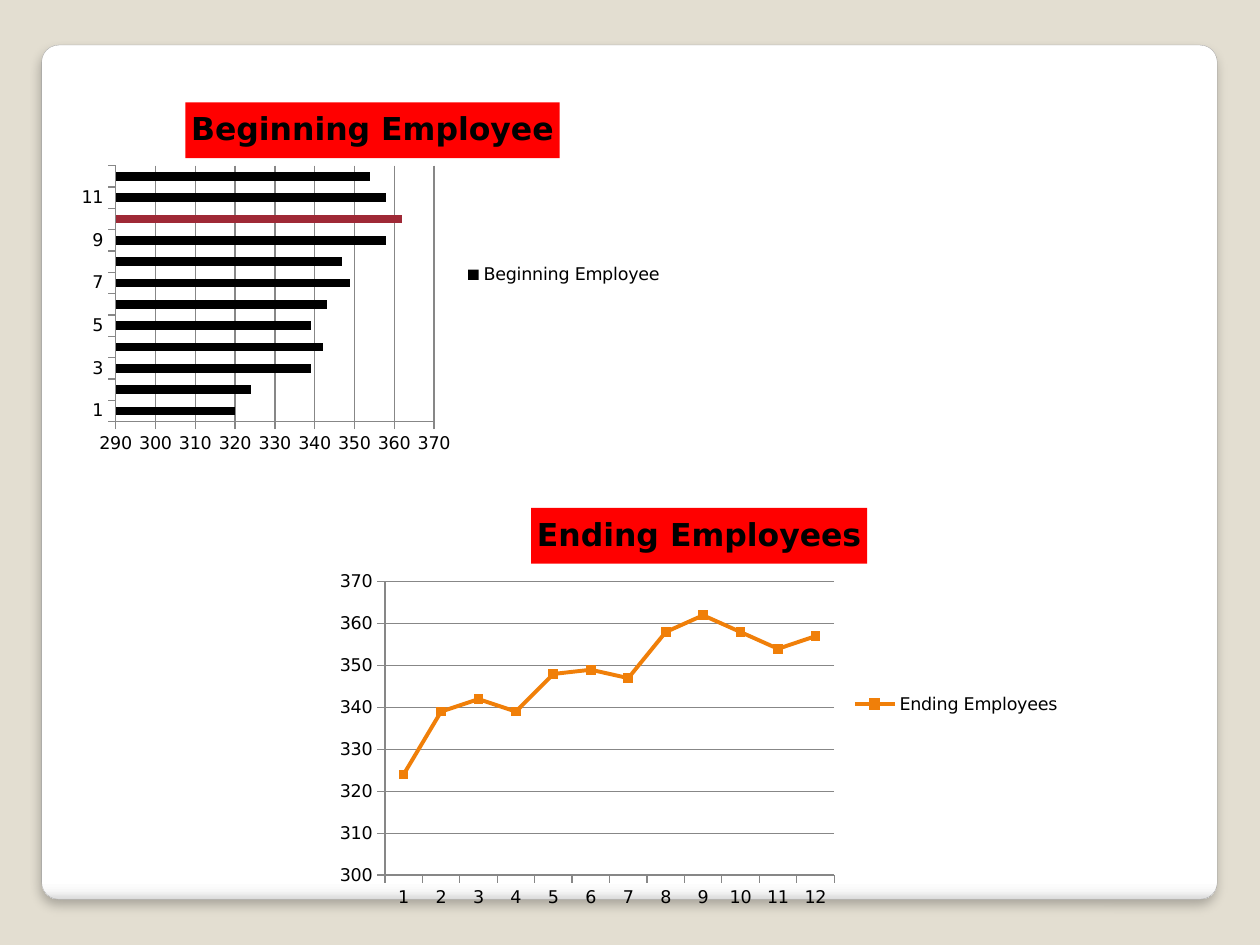
from lxml import etree
from pptx import Presentation
from pptx.chart.data import CategoryChartData
from pptx.dml.color import RGBColor
from pptx.enum.chart import XL_CHART_TYPE, XL_LEGEND_POSITION, XL_MARKER_STYLE, XL_TICK_MARK
from pptx.enum.shapes import MSO_SHAPE
from pptx.oxml import parse_xml
from pptx.oxml.ns import nsdecls, qn
from pptx.util import Cm, Pt

BAR = XL_CHART_TYPE.BAR_CLUSTERED
LINE = XL_CHART_TYPE.LINE_MARKERS
LEGEND_RIGHT = XL_LEGEND_POSITION.RIGHT
SQUARE = XL_MARKER_STYLE.SQUARE
TICK_OUT = XL_TICK_MARK.OUTSIDE
ROUNDED = MSO_SHAPE.ROUNDED_RECTANGLE

FONT = "DejaVu Sans"
COLORS = {
    "background": "E3DED1",
    "panel_line": "A4A4A4",
    "text": "000000",
    "title_fill": "FF0000",
    "grid": "878787",
    "bar": "000000",
    "highlight": "9F2936",
    "line": "F07F09",
}
PANEL_STOPS = [(0, "FFFFFF"), (98, "FFFFFF"), (99, "F7F7F7"), (100, "DADADA")]


def color(name):
    return RGBColor.from_string(COLORS[name])


def add_employee_chart(page, kind, name, values, low, place):
    data = CategoryChartData()
    data.categories = [str(month) for month in range(1, len(values) + 1)]
    data.add_series(name, values)
    chart = page.shapes.add_chart(kind, *[Cm(length) for length in place], data).chart
    chart.font.name = FONT
    chart.font.size = Pt(10)
    chart.font.color.rgb = color("text")

    # Title on a red field
    chart.has_title = True
    title = chart.chart_title
    title.include_in_layout = False
    title.format.fill.solid()
    title.format.fill.fore_color.rgb = color("title_fill")
    para = title.text_frame.paragraphs[0]
    para.text = name
    para.font.name = FONT
    para.font.size = Pt(18)
    para.font.bold = True
    para.font.color.rgb = color("text")

    # Legend and axes
    chart.has_legend = True
    chart.legend.position = LEGEND_RIGHT
    chart.legend.include_in_layout = False
    scale = chart.value_axis
    scale.minimum_scale, scale.maximum_scale, scale.major_unit = low, 370, 10
    scale.has_major_gridlines = True
    chart.category_axis.has_major_gridlines = False
    for axis in (scale, chart.category_axis):
        axis.major_tick_mark = TICK_OUT
        axis.format.line.color.rgb = color("grid")
        axis.format.line.width = Pt(0.75)
    scale.major_gridlines.format.line.color.rgb = color("grid")
    scale.major_gridlines.format.line.width = Pt(0.75)
    chart.plots[0].vary_by_categories = False
    return chart


deck = Presentation()
deck.slide_width = Cm(25.4)
deck.slide_height = Cm(19.05)
page = deck.slides.add_slide(deck.slide_layouts[6])
page.background.fill.solid()
page.background.fill.fore_color.rgb = color("background")

# White panel with a shaded lower edge and a soft shadow
panel = page.shapes.add_shape(ROUNDED, Cm(0.84), Cm(0.91), Cm(23.7), Cm(17.22))
panel.adjustments[0] = 0.02
panel.line.color.rgb = color("panel_line")
panel.line.width = Pt(0.16)
panel.shadow.inherit = False
panel.fill.gradient()
panel.fill.gradient_angle = 270
stops = panel.element.spPr.find(qn("a:gradFill")).find(qn("a:gsLst"))
for stop in list(stops):
    stops.remove(stop)
for percent, shade in PANEL_STOPS:
    stop = etree.SubElement(stops, qn("a:gs"), pos=str(percent * 1000))
    etree.SubElement(stop, qn("a:srgbClr"), val=shade)
panel.element.spPr.find(qn("a:effectLst")).append(parse_xml(
    f'<a:outerShdw {nsdecls("a")} blurRad="{Pt(6)}" dist="{Pt(4)}" dir="5400000" '
    'algn="t" rotWithShape="0"><a:srgbClr val="000000"><a:alpha val="25000"/>'
    '</a:srgbClr></a:outerShdw>'))

# Beginning employees: bars, tenth month highlighted
beginning = [320, 324, 339, 342, 339, 343, 349, 347, 358, 362, 358, 354]
chart = add_employee_chart(page, BAR, "Beginning Employee", beginning, 290,
                           (1.4, 1.78, 12.22, 7.52))
chart.plots[0].gap_width = 150
bars = chart.plots[0].series[0]
for part, name in ((bars, "bar"), (bars.points[9], "highlight")):
    part.format.fill.solid()
    part.format.fill.fore_color.rgb = color(name)

# Ending employees: line with square markers
ending = [324, 339, 342, 339, 348, 349, 347, 358, 362, 358, 354, 357]
chart = add_employee_chart(page, LINE, "Ending Employees", ending, 300,
                           (6.55, 9.93, 15.09, 8.53))
trend = chart.plots[0].series[0]
trend.smooth = False
trend.format.line.color.rgb = color("line")
trend.format.line.width = Pt(2.25)
trend.marker.style = SQUARE
trend.marker.size = 5
trend.marker.format.fill.solid()
trend.marker.format.fill.fore_color.rgb = color("line")
trend.marker.format.line.color.rgb = color("line")

deck.save("out.pptx")
